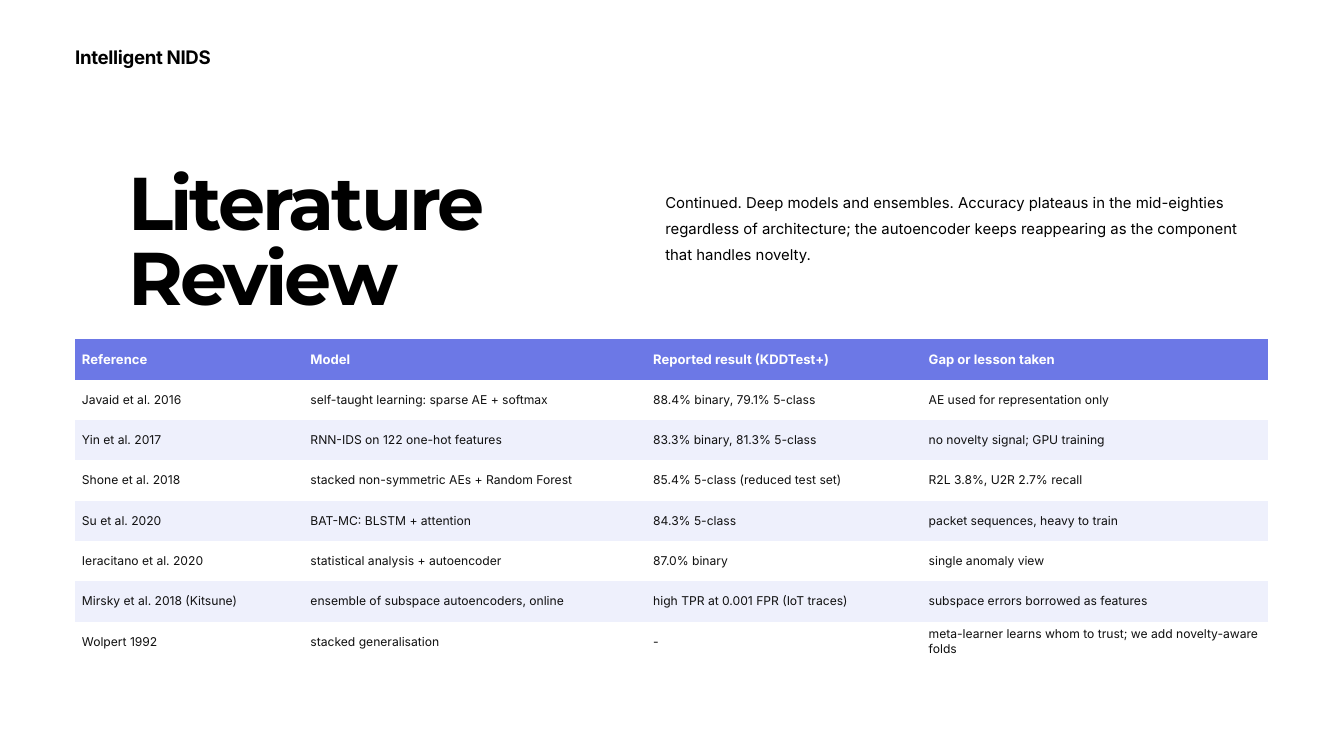
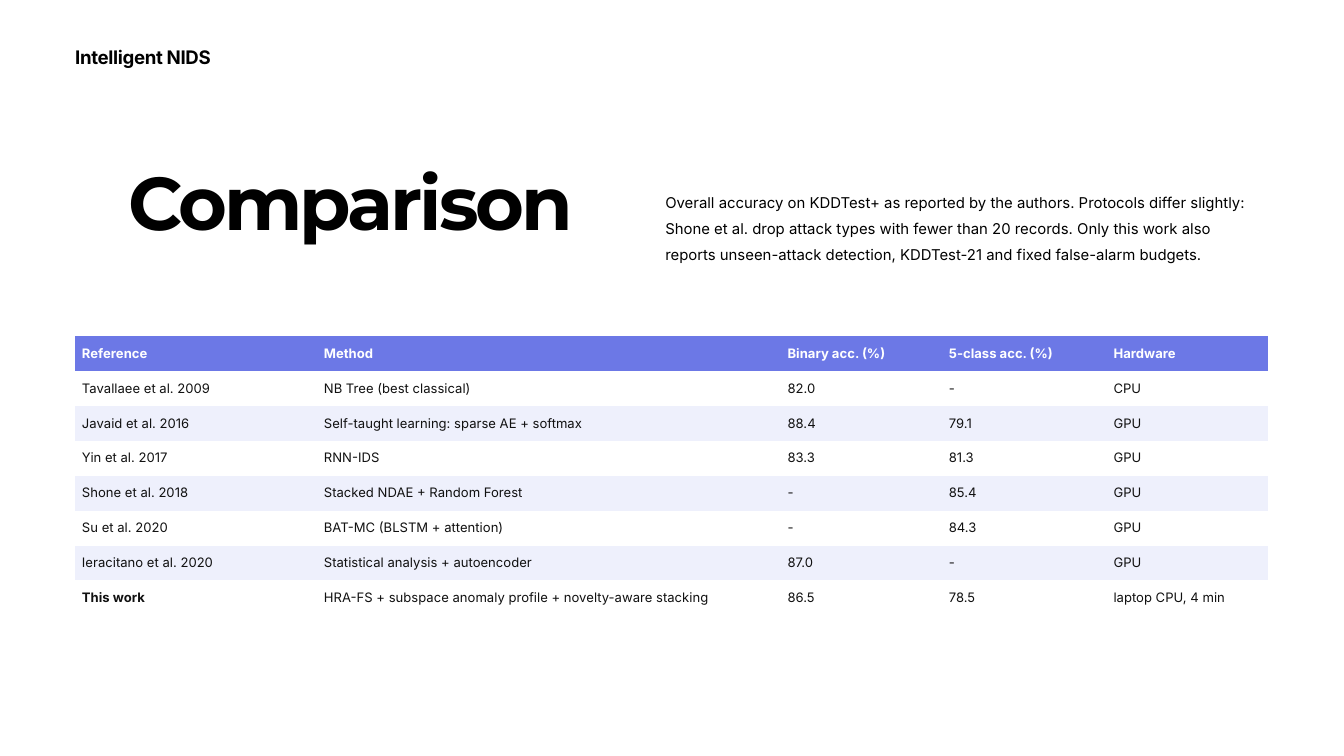
"""Build two slides that survey and compare intrusion detection studies."""
from dataclasses import dataclass

from pptx import Presentation
from pptx.dml.color import RGBColor
from pptx.enum.text import MSO_ANCHOR as Anchor, MSO_AUTO_SIZE as AutoSize
from pptx.oxml.ns import qn
from pptx.slide import Slide
from pptx.text.text import _Paragraph as Paragraph
from pptx.util import Inches, Length, Pt

BLACK = RGBColor(0x00, 0x00, 0x00)
INK = RGBColor(0x11, 0x11, 0x11)
WHITE = RGBColor(0xFF, 0xFF, 0xFF)
INDIGO = RGBColor(0x6C, 0x78, 0xE6)
LAVENDER = RGBColor(0xEE, 0xF0, 0xFC)

GRID_COLUMNS, GRID_ROWS = 200, 112.5
SLIDE_WIDTH, SLIDE_HEIGHT = Inches(20), Inches(11.25)
PLAIN_TABLE = "{2D5ABB26-0587-4C30-8999-92F81FD0307C}"
MARGIN = 11.2


@dataclass(frozen=True)
class TypeStyle:
    """Look of a run of text, with sizes in points."""
    size: float
    color: RGBColor
    bold: bool = False
    font: str = "Inter"
    tracking: float = 0


@dataclass(frozen=True)
class TextArea:
    """Place on the grid and type style of a text block."""
    column: float
    row: float
    columns: float
    rows: float
    leading: float
    style: TypeStyle


@dataclass(frozen=True)
class StudyTable:
    """Studies with the grid measures of their table."""
    top: float
    row_height: float
    widths: tuple[float, ...]
    body_size: float
    header: tuple[str, ...]
    studies: tuple[tuple[str, ...], ...]
    own_study: str = ""


@dataclass(frozen=True)
class StudySlide:
    """Title, summary and table of one slide."""
    title: str
    summary: str
    table: StudyTable


TITLE = TextArea(19.1, 25.4, 70.1, 22.6, 80, TypeStyle(80, BLACK, True, "Montserrat", -3.2))
SUMMARY = TextArea(99, 27.6, 87.5, 19, 27.9, TypeStyle(16, BLACK))
PROJECT = TextArea(MARGIN, 6.7, 35.3, 3.5, 25, TypeStyle(20, BLACK, True, tracking=-0.4))
HEADER_STYLE = TypeStyle(14, WHITE, True)

SLIDES = (
    StudySlide(
        "Literature Review",
        "Continued. Deep models and ensembles. Accuracy plateaus in the mid-eighties "
        "regardless of architecture; the autoencoder keeps reappearing as the component "
        "that handles novelty.",
        StudyTable(
            50.5, 6, (34, 51, 41, 51.5), 13,
            ("Reference", "Model", "Reported result (KDDTest+)", "Gap or lesson taken"),
            (
                ("Javaid et al. 2016", "self-taught learning: sparse AE + softmax",
                 "88.4% binary, 79.1% 5-class", "AE used for representation only"),
                ("Yin et al. 2017", "RNN-IDS on 122 one-hot features",
                 "83.3% binary, 81.3% 5-class", "no novelty signal; GPU training"),
                ("Shone et al. 2018", "stacked non-symmetric AEs + Random Forest",
                 "85.4% 5-class (reduced test set)", "R2L 3.8%, U2R 2.7% recall"),
                ("Su et al. 2020", "BAT-MC: BLSTM + attention",
                 "84.3% 5-class", "packet sequences, heavy to train"),
                ("Ieracitano et al. 2020", "statistical analysis + autoencoder",
                 "87.0% binary", "single anomaly view"),
                ("Mirsky et al. 2018 (Kitsune)", "ensemble of subspace autoencoders, online",
                 "high TPR at 0.001 FPR (IoT traces)", "subspace errors borrowed as features"),
                ("Wolpert 1992", "stacked generalisation",
                 "-", "meta-learner learns whom to trust; we add novelty-aware folds"),
            ),
        ),
    ),
    StudySlide(
        "Comparison",
        "Overall accuracy on KDDTest+ as reported by the authors. Protocols differ slightly: "
        "Shone et al. drop attack types with fewer than 20 records. Only this work also "
        "reports unseen-attack detection, KDDTest-21 and fixed false-alarm budgets.",
        StudyTable(
            50, 5.2, (36, 69, 24, 24.5, 24), 14,
            ("Reference", "Method", "Binary acc. (%)", "5-class acc. (%)", "Hardware"),
            (
                ("Tavallaee et al. 2009", "NB Tree (best classical)", "82.0", "-", "CPU"),
                ("Javaid et al. 2016", "Self-taught learning: sparse AE + softmax",
                 "88.4", "79.1", "GPU"),
                ("Yin et al. 2017", "RNN-IDS", "83.3", "81.3", "GPU"),
                ("Shone et al. 2018", "Stacked NDAE + Random Forest", "-", "85.4", "GPU"),
                ("Su et al. 2020", "BAT-MC (BLSTM + attention)", "-", "84.3", "GPU"),
                ("Ieracitano et al. 2020", "Statistical analysis + autoencoder",
                 "87.0", "-", "GPU"),
                ("This work", "HRA-FS + subspace anomaly profile + novelty-aware stacking",
                 "86.5", "78.5", "laptop CPU, 4 min"),
            ),
            own_study="This work",
        ),
    ),
)


def across(columns: float) -> Length:
    """Turn grid columns into a length."""
    return Length(round(SLIDE_WIDTH * columns / GRID_COLUMNS))


def down(rows: float) -> Length:
    """Turn grid rows into a length."""
    return Length(round(SLIDE_HEIGHT * rows / GRID_ROWS))


def add_run(paragraph: Paragraph, words: str, style: TypeStyle) -> None:
    """Append styled words to a paragraph."""
    run = paragraph.add_run()
    run.text = words
    run.font.name = style.font
    run.font.size = Pt(style.size)
    run.font.bold = style.bold
    run.font.color.rgb = style.color
    if style.tracking:
        run._r.get_or_add_rPr().set("spc", str(round(style.tracking * 100)))


def add_text(slide: Slide, area: TextArea, words: str) -> None:
    """Place a text block on the slide."""
    frame = slide.shapes.add_textbox(
        across(area.column), down(area.row), across(area.columns), down(area.rows)
    ).text_frame
    frame.word_wrap = True
    frame.auto_size = AutoSize.SHAPE_TO_FIT_TEXT
    frame.margin_left = frame.margin_right = frame.margin_top = frame.margin_bottom = 0
    paragraph = frame.paragraphs[0]
    paragraph.line_spacing = Pt(area.leading)
    add_run(paragraph, words, area.style)


def add_studies(slide: Slide, content: StudyTable) -> None:
    """Draw the table with a solid header and alternating rows."""
    lines = (content.header, *content.studies)
    holder = slide.shapes.add_table(
        len(lines), len(content.widths), across(MARGIN), down(content.top),
        across(sum(content.widths)), down(content.row_height * len(lines)),
    )
    table = holder.table
    table.horz_banding = False
    next(table._tbl.iter(qn("a:tableStyleId"))).text = PLAIN_TABLE
    for column, width in zip(table.columns, content.widths):
        column.width = across(width)
    for index, (row, entries) in enumerate(zip(table.rows, lines)):
        row.height = down(content.row_height)
        band = INDIGO if index == 0 else (LAVENDER, WHITE)[index % 2]
        for cell, entry in zip(row.cells, entries):
            cell.fill.solid()
            cell.fill.fore_color.rgb = band
            cell.vertical_anchor = Anchor.MIDDLE
            body = TypeStyle(content.body_size, INK, entry == content.own_study)
            add_run(cell.text_frame.paragraphs[0], entry, body if index else HEADER_STYLE)


def main() -> None:
    """Build and save the presentation."""
    deck = Presentation()
    deck.slide_width, deck.slide_height = SLIDE_WIDTH, SLIDE_HEIGHT
    for content in SLIDES:
        slide = deck.slides.add_slide(deck.slide_layouts[6])
        slide.background.fill.solid()
        slide.background.fill.fore_color.rgb = WHITE
        add_text(slide, TITLE, content.title)
        add_text(slide, SUMMARY, content.summary)
        add_text(slide, PROJECT, "Intelligent NIDS")
        add_studies(slide, content.table)
    deck.save("out.pptx")


if __name__ == "__main__":
    main()
